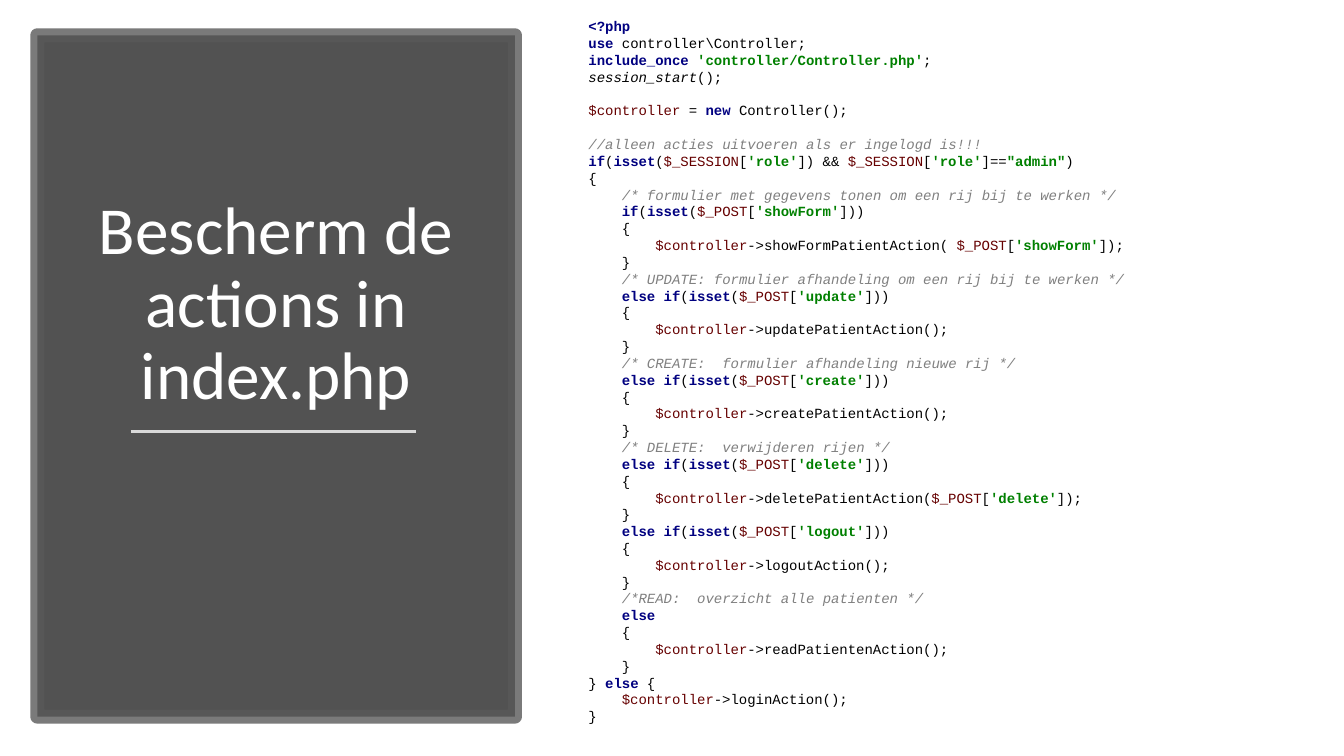
from dataclasses import dataclass

from lxml import etree
from pptx import Presentation
from pptx.dml.color import RGBColor
from pptx.enum.shapes import MSO_CONNECTOR, MSO_SHAPE
from pptx.enum.text import MSO_ANCHOR, MSO_AUTO_SIZE, PP_ALIGN
from pptx.oxml.ns import qn
from pptx.util import Cm, Pt

RECTANGLE = MSO_SHAPE.RECTANGLE
STRAIGHT = MSO_CONNECTOR.STRAIGHT
CENTER, LEFT = PP_ALIGN.CENTER, PP_ALIGN.LEFT
BOTTOM, MIDDLE = MSO_ANCHOR.BOTTOM, MSO_ANCHOR.MIDDLE
NO_AUTOFIT = MSO_AUTO_SIZE.NONE
TITLE_ONLY = 5


@dataclass(frozen=True)
class Theme:
    title_font: str = "Calibri"
    code_font: str = "Courier New"
    title_size: int = 48
    code_size: int = 10
    white: str = "FFFFFF"
    panel: str = "404040"
    panel_border: str = "595959"
    rule: str = "D9D9D9"
    plain: str = "000000"
    keyword: str = "000080"
    string: str = "008000"
    variable: str = "660000"
    comment: str = "808080"


THEME = Theme()
KEYWORDS = {"<?php", "use", "include_once", "new", "if", "else", "isset"}
ITALIC_FUNCTIONS = {"session_start"}
QUOTES = "'\""

CODE_START = [
    "<?php",
    "use controller\\Controller;",
    "include_once 'controller/Controller.php';",
    "session_start();",
    "",
    "$controller = new Controller();",
    "",
    "//alleen acties uitvoeren als er ingelogd is!!!",
    "if(isset($_SESSION['role']) && $_SESSION['role']==\"admin\")",
    "{",
]
# Comment, condition and controller call of each branch
BRANCHES = [
    ("/* formulier met gegevens tonen om een rij bij te werken */",
     "if(isset($_POST['showForm']))", "showFormPatientAction( $_POST['showForm'])"),
    ("/* UPDATE: formulier afhandeling om een rij bij te werken */",
     "else if(isset($_POST['update']))", "updatePatientAction()"),
    ("/* CREATE:  formulier afhandeling nieuwe rij */",
     "else if(isset($_POST['create']))", "createPatientAction()"),
    ("/* DELETE:  verwijderen rijen */",
     "else if(isset($_POST['delete']))", "deletePatientAction($_POST['delete'])"),
    (None, "else if(isset($_POST['logout']))", "logoutAction()"),
    ("/*READ:  overzicht alle patienten */", "else", "readPatientenAction()"),
]
CODE_END = ["} else {", "    $controller->loginAction();", "}"]


def code_lines():
    lines = list(CODE_START)
    for comment, condition, call in BRANCHES:
        branch = [condition, "{", f"    $controller->{call};", "}"]
        if comment:
            branch.insert(0, comment)
        lines += ["    " + line for line in branch]
    return lines + CODE_END


def color(value):
    return RGBColor.from_string(value)


def set_opacity(fill_parent, percent):
    """Make the solid fill inside an element partly transparent."""
    rgb = fill_parent.find(qn("a:solidFill")).find(qn("a:srgbClr"))
    etree.SubElement(rgb, qn("a:alpha"), val=str(percent * 1000))


def add_rectangle(slide, left, top, width, height, fill):
    shape = slide.shapes.add_shape(RECTANGLE, Cm(left), Cm(top), Cm(width), Cm(height))
    shape.shadow.inherit = False
    shape.fill.solid()
    shape.fill.fore_color.rgb = color(fill)
    shape.line.fill.background()
    return shape


def add_run(paragraph, text, font_name, size, rgb, bold=False, italic=False):
    run = paragraph.add_run()
    run.text = text
    run.font.name = font_name
    run.font.size = Pt(size)
    run.font.color.rgb = color(rgb)
    run.font.bold = bold
    run.font.italic = italic


def add_panel(slide):
    panel = add_rectangle(slide, 0.94, 0.89, 12.04, 17.17, THEME.panel)
    panel.line.color.rgb = color(THEME.panel_border)
    panel.line.width = Pt(10)
    properties = panel._element.spPr
    set_opacity(properties, 90)
    set_opacity(properties.find(qn("a:ln")), 80)
    # The panel lies behind the title
    slide.shapes.title._element.addprevious(panel._element)


def format_title(slide, text):
    title = slide.shapes.title
    title.left, title.top, title.width, title.height = Cm(1.88), Cm(2.54), Cm(10.16), Cm(8.03)
    frame = title.text_frame
    frame.word_wrap = True
    frame.auto_size = NO_AUTOFIT
    frame.vertical_anchor = BOTTOM
    paragraph = frame.paragraphs[0]
    paragraph.alignment = CENTER
    paragraph.line_spacing = 0.9
    add_run(paragraph, text, THEME.title_font, THEME.title_size, THEME.white)


def add_rule(slide, left, right, top):
    rule = slide.shapes.add_connector(STRAIGHT, Cm(left), Cm(top), Cm(right), Cm(top))
    rule.line.color.rgb = color(THEME.rule)
    rule.line.width = Pt(1.75)
    etree.SubElement(rule._element.spPr, qn("a:effectLst"))


def is_word(character):
    return character.isalnum() or character in "_$<?"


def split_tokens(line):
    """Yield comments, strings, words and the symbols between them."""
    if line.lstrip().startswith(("//", "/*")):
        yield line
        return
    start = 0
    while start < len(line):
        first = line[start]
        end = start + 1
        if first in QUOTES:
            end = line.index(first, end) + 1
        else:
            while (end < len(line) and line[end] not in QUOTES
                   and is_word(line[end]) == is_word(first)):
                end += 1
        yield line[start:end]
        start = end


def token_style(token):
    """Return colour, bold and italic of a token."""
    if token.lstrip().startswith(("//", "/*")):
        return THEME.comment, False, True
    if token in KEYWORDS:
        return THEME.keyword, True, False
    if token[0] in QUOTES:
        return THEME.string, True, False
    if token[0] == "$":
        return THEME.variable, False, False
    return THEME.plain, False, token in ITALIC_FUNCTIONS


def add_code(slide, lines):
    box = add_rectangle(slide, 14.58, 0.25, 18.72, 18.21, THEME.white)
    frame = box.text_frame
    frame.word_wrap = True
    frame.vertical_anchor = MIDDLE
    paragraph = frame.paragraphs[0]
    paragraph.alignment = LEFT
    for number, line in enumerate(lines):
        if number:
            paragraph.add_line_break()
            # Breaks carry the code size so that empty lines keep their height
            properties = etree.SubElement(paragraph._p[-1], qn("a:rPr"),
                                          sz=str(THEME.code_size * 100))
            etree.SubElement(properties, qn("a:latin"), typeface=THEME.code_font)
        for token in split_tokens(line):
            add_run(paragraph, token, THEME.code_font, THEME.code_size, *token_style(token))


def main():
    presentation = Presentation()
    presentation.slide_width, presentation.slide_height = Cm(33.87), Cm(19.05)
    slide = presentation.slides.add_slide(presentation.slide_layouts[TITLE_ONLY])
    # Title panel
    add_panel(slide)
    format_title(slide, "Bescherm de actions in index.php")
    add_rule(slide, 3.3, 10.49, 10.87)
    # Code listing on white
    add_rectangle(slide, 21.97, 8.76, 11.89, 0.61, THEME.white)
    add_code(slide, code_lines())
    presentation.save("out.pptx")


if __name__ == "__main__":
    main()
